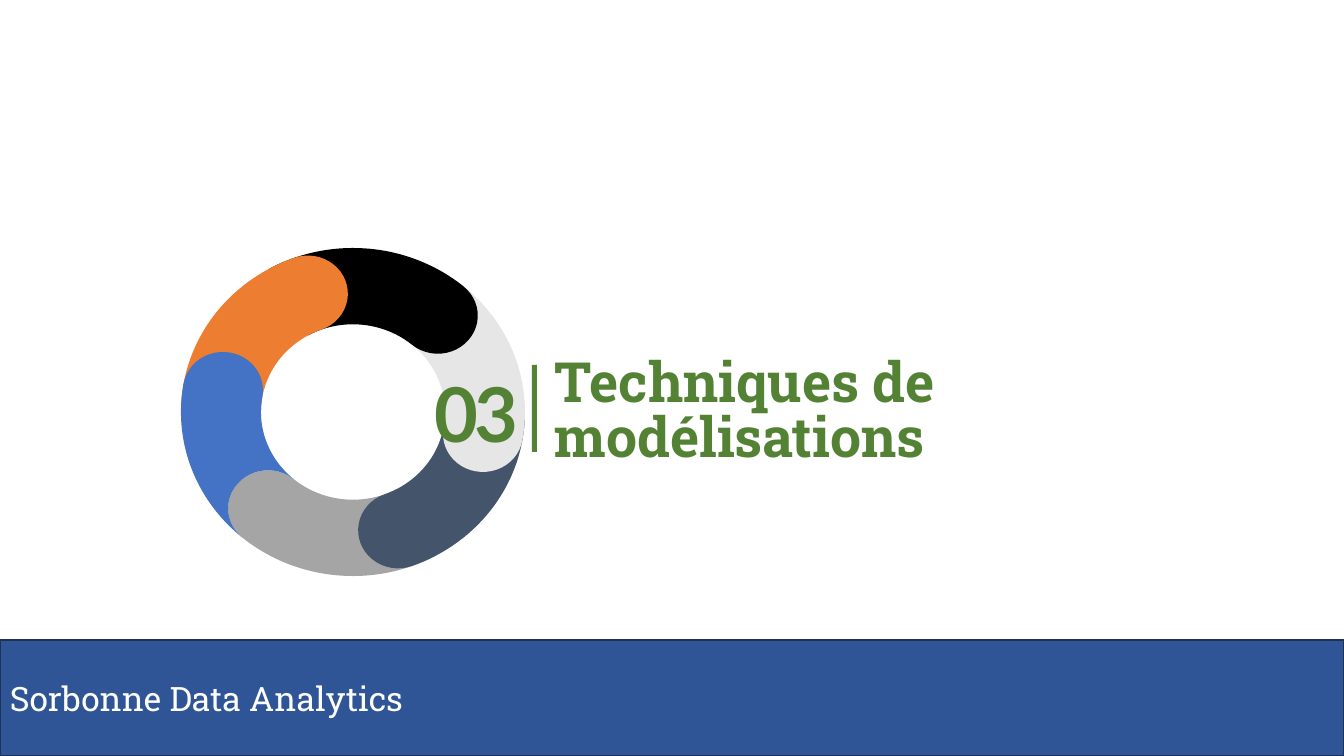
import math

import pptx
import pptx.dml.color
import pptx.enum.shapes
import pptx.enum.text
import pptx.oxml
import pptx.oxml.ns
import pptx.util

PX = 914400 / 100.8  # EMU per px


def color(hex_value):
    return pptx.dml.color.RGBColor.from_string(hex_value)


def write(shape, text, font_name, size, hex_value, bold=False):
    frame = shape.text_frame
    frame.word_wrap = True
    frame.vertical_anchor = pptx.enum.text.MSO_ANCHOR.MIDDLE
    paragraph = frame.paragraphs[0]
    paragraph.alignment = pptx.enum.text.PP_ALIGN.LEFT
    run = paragraph.add_run()
    run.text = text
    run.font.name = font_name
    run.font.size = pptx.util.Pt(size)
    run.font.bold = bold
    run.font.color.rgb = color(hex_value)
    return paragraph


presentation = pptx.Presentation()
presentation.slide_width = round(1344 * PX)
presentation.slide_height = round(756 * PX)
slide = presentation.slides.add_slide(presentation.slide_layouts[6])
shapes = slide.shapes

# Section title
title = shapes.add_textbox(*[round(v * PX) for v in (545, 348, 752, 131)])
paragraph = write(title, "Techniques de modélisations", "Roboto Slab", 39.6, "548235", True)
paragraph.line_spacing = 0.82

# Footer bar
footer = shapes.add_shape(
    pptx.enum.shapes.MSO_SHAPE.RECTANGLE, *[round(v * PX) for v in (0, 640, 1344, 116)]
)
footer.shadow.inherit = False
footer.fill.solid()
footer.fill.fore_color.rgb = color("2F5597")
footer.line.color.rgb = color("1E3256")
footer.line.width = pptx.util.Pt(1)
write(footer, "Sorbonne Data Analytics", "Roboto Slab", 24, "FFFFFF")

# Ring of six segments, each with a round cap lying over the next one
CENTER_X, CENTER_Y = 353, 412
OUTER, INNER, CAP = 172, 92, 40
MIDDLE = (OUTER + INNER) / 2
FLATTENING = 164 / 172
STEP, OVERLAP = 60, 9
PIECES = 3  # Bézier curves per arc
segments = [
    ("A5A5A5", 130),
    ("44546A", 70),
    ("E7E6E6", 10),
    ("000000", -50),
    ("ED7D31", -110),
    ("4472C4", -170),
]
for hex_value, end in segments:
    # The last segment is notched so that the first cap stays on top
    notched = hex_value == segments[-1][0]
    start = end - STEP - (0 if notched else OVERLAP)
    # Each arc: distance of its centre, direction of its centre, radius, from, to
    arcs = [
        (0, 0, OUTER, start, end),
        (MIDDLE, end, CAP, end, end + 180),
        (0, 0, INNER, end, start),
    ]
    if notched:
        arcs.append((MIDDLE, start, CAP, start + 180, start))

    # Start point, then two control points and an end point for each curve
    points = []
    for distance, direction, radius, first, last in arcs:
        direction = math.radians(direction)
        turn = math.radians(last - first) / PIECES
        handle = 4 / 3 * math.tan(turn / 4)
        for piece in range(PIECES):
            angle = math.radians(first) + piece * turn
            curve = [(angle, 0), (angle, handle), (angle + turn, -handle), (angle + turn, 0)]
            for at, pull in curve[1 if points else 0:]:
                x = distance * math.cos(direction) + radius * (math.cos(at) - pull * math.sin(at))
                y = distance * math.sin(direction) + radius * (math.sin(at) + pull * math.cos(at))
                x, y = CENTER_X + x, CENTER_Y + y * FLATTENING
                points.append((round(x * PX), round(y * PX)))

    builder = shapes.build_freeform(*points[0], scale=1.0)
    builder.add_line_segments(points[1:], close=True)
    segment = builder.convert_to_shape()
    segment.shadow.inherit = False
    segment.fill.solid()
    segment.fill.fore_color.rgb = color(hex_value)
    segment.line.fill.background()

    # Join every three line steps into one curve
    outline = segment._element.find(".//" + pptx.oxml.ns.qn("a:path"))
    steps = outline.findall(pptx.oxml.ns.qn("a:lnTo"))
    for index in range(0, len(steps), 3):
        bezier = outline.makeelement(pptx.oxml.ns.qn("a:cubicBezTo"))
        steps[index].addprevious(bezier)
        for step in steps[index:index + 3]:
            bezier.append(step[0])
            outline.remove(step)

# Divider
divider = shapes.add_shape(
    pptx.enum.shapes.MSO_SHAPE.RECTANGLE, *[round(v * PX) for v in (532, 365, 5, 87)]
)
divider.shadow.inherit = False
divider.fill.solid()
divider.fill.fore_color.rgb = color("548235")
divider.line.fill.background()

# Section number
number = shapes.add_textbox(*[round(v * PX) for v in (413, 332, 115, 126)])
paragraph = write(number, "03", "Lato", 54, "548235", True)
paragraph.alignment = pptx.enum.text.PP_ALIGN.RIGHT
paragraph.line_spacing = pptx.util.Pt(88.8)
paragraph.runs[0].font._element.set("spc", "-290")

presentation.save("out.pptx")
